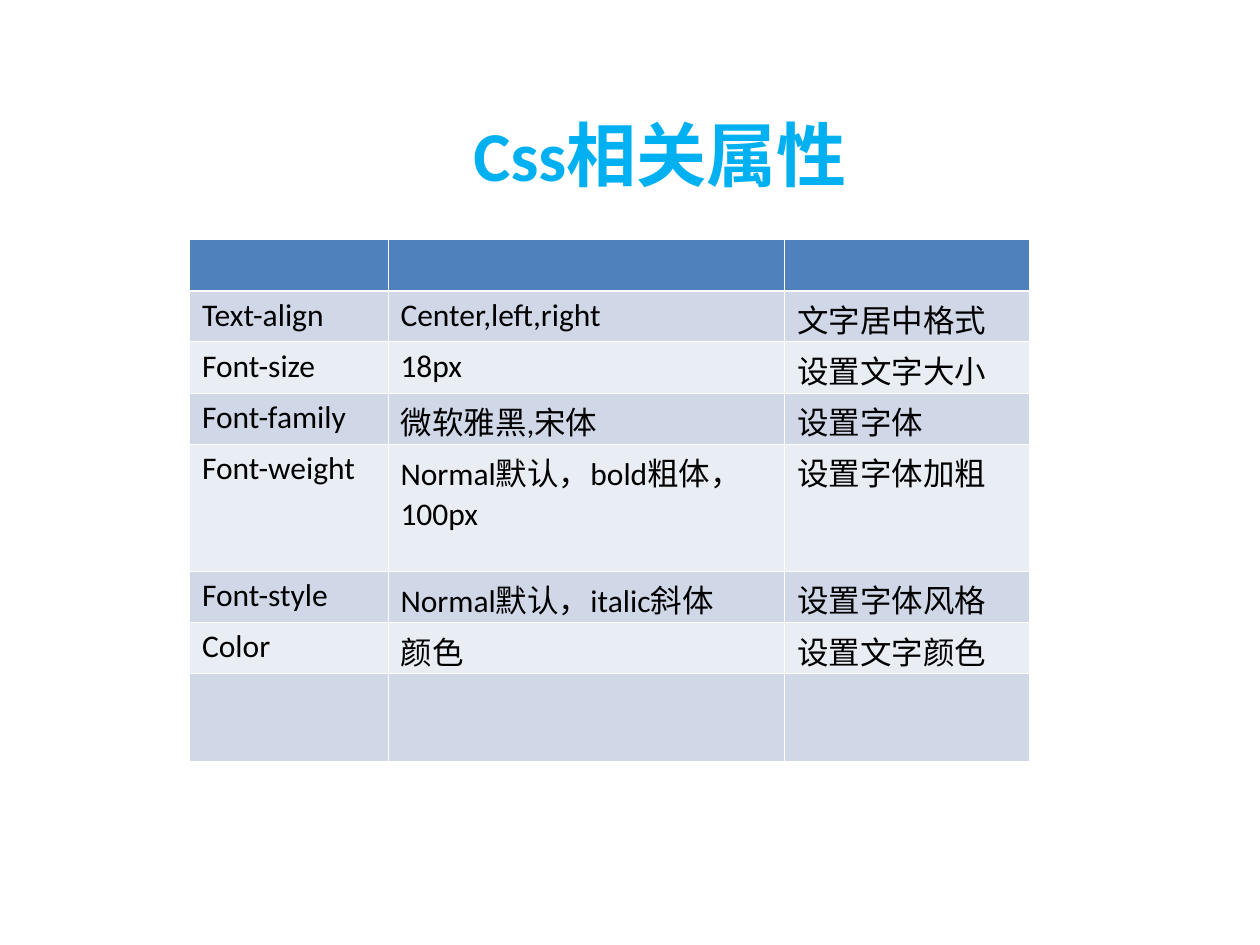
from lxml import etree
from pptx import Presentation
from pptx.dml.color import RGBColor
from pptx.enum.text import MSO_ANCHOR, PP_ALIGN
from pptx.oxml.ns import qn
from pptx.util import Cm, Pt

CENTER = PP_ALIGN.CENTER
MIDDLE = MSO_ANCHOR.MIDDLE
FONT = "Calibri"
COLORS = {
    "title": "00B0F0",
    "head": "4F81BD",
    "odd": "D0D8E8",
    "even": "E9EDF4",
    "rule": "FFFFFF",
    "text": "000000",
}
THIN, THICK = Pt(0.45), Pt(1.47)

# Sizes in cm
COLS = [4, 8, 4.93]
ROW, TALL, LAST = 1.03, 2.56, 1.78
ROWS = [ROW] * 4 + [TALL] + [ROW] * 2 + [LAST]

CELLS = [
    ("", "", ""),
    ("Text-align", "Center,left,right", "文字居中格式"),
    ("Font-size", "18px", "设置文字大小"),
    ("Font-family", "微软雅黑,宋体", "设置字体"),
    ("Font-weight", "Normal默认，bold粗体，100px", "设置字体加粗"),
    ("Font-style", "Normal默认，italic斜体", "设置字体风格"),
    ("Color", "颜色", "设置文字颜色"),
    ("", "", ""),
]


def color(name):
    return RGBColor.from_string(COLORS[name])


def add_run(para, text, size, name, bold=False):
    run = para.add_run()
    run.text = text
    run.font.name = FONT
    run.font.size = Pt(size)
    run.font.bold = bold
    run.font.color.rgb = color(name)


def add_rules(cell, top, bottom):
    """Draw the four cell borders; they must come before the fill."""
    props = cell._tc.get_or_add_tcPr()
    widths = {"lnL": THIN, "lnR": THIN, "lnT": top, "lnB": bottom}
    for i, (tag, width) in enumerate(widths.items()):
        line = etree.Element(qn("a:" + tag), w=str(int(width)))
        fill = etree.SubElement(line, qn("a:solidFill"))
        etree.SubElement(fill, qn("a:srgbClr"), val=COLORS["rule"])
        props.insert(i, line)


def add_title(slide, x, y, w, h):
    title = slide.shapes.title
    title.left, title.top, title.width, title.height = map(Cm, (x, y, w, h))
    frame = title.text_frame
    frame.word_wrap = True
    frame.vertical_anchor = MIDDLE
    para = frame.paragraphs[0]
    para.alignment = CENTER
    add_run(para, "Css相关属性", 40, "title", bold=True)


def add_grid(slide, x, y):
    frame = slide.shapes.add_table(
        len(ROWS), len(COLS), Cm(x), Cm(y), Cm(sum(COLS)), Cm(sum(ROWS)))
    table = frame.table
    for col, width in zip(table.columns, COLS):
        col.width = Cm(width)
    for r, (height, texts) in enumerate(zip(ROWS, CELLS)):
        table.rows[r].height = Cm(height)
        band = "head" if r == 0 else "odd" if r % 2 else "even"
        for c, text in enumerate(texts):
            cell = table.cell(r, c)
            # Tight margins keep tall glyphs from stretching the row
            cell.margin_top, cell.margin_bottom = Cm(0.11), 0
            cell.fill.solid()
            cell.fill.fore_color.rgb = color(band)
            # The heavy rule sits under the header row
            add_rules(cell, THICK if r == 1 else THIN,
                      THICK if r == 0 else THIN)
            if text:
                add_run(cell.text_frame.paragraphs[0], text, 18, "text")


def main():
    deck = Presentation()
    deck.slide_width, deck.slide_height = Cm(25.4), Cm(19.05)
    slide = deck.slides.add_slide(deck.slide_layouts[5])
    add_title(slide, 2.1, 2.11, 22.4, 1.96)
    add_grid(slide, 3.82, 4.83)
    deck.save("out.pptx")


if __name__ == "__main__":
    main()
